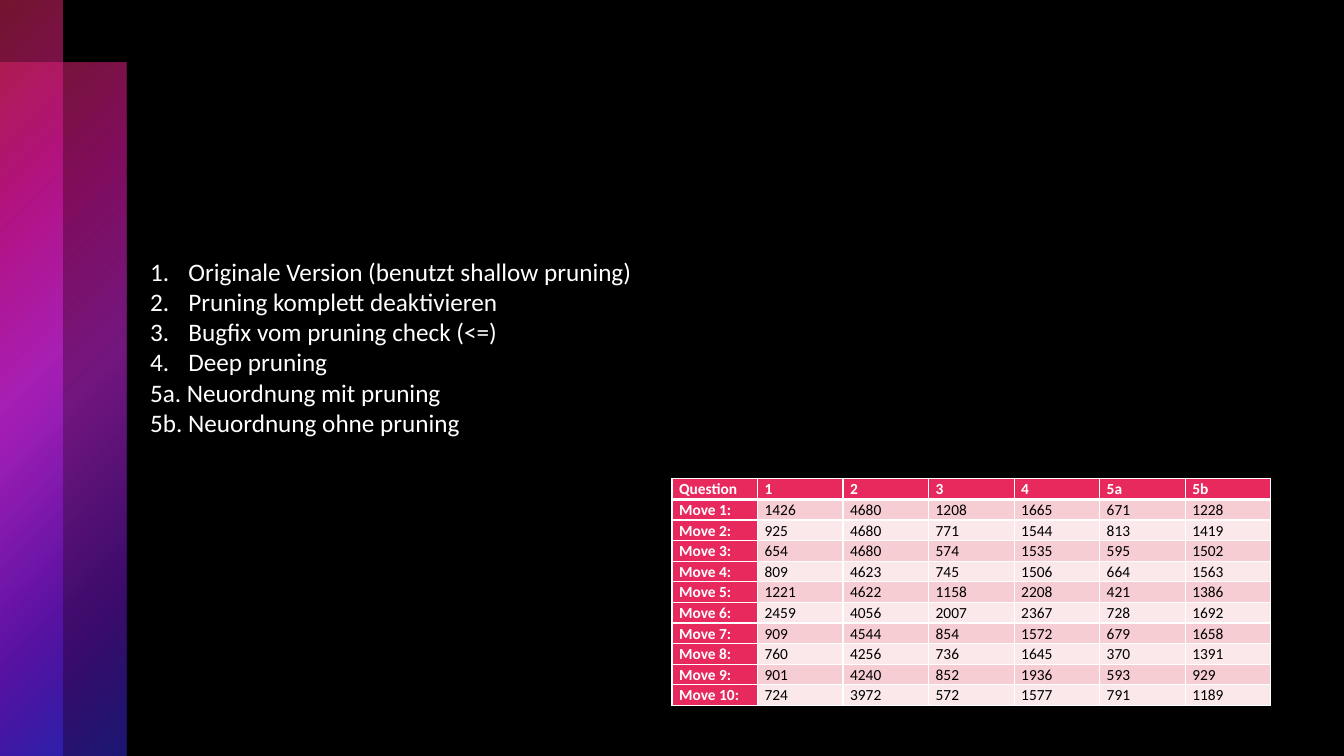
from lxml.etree import SubElement
from pptx import Presentation
from pptx.dml.color import RGBColor
from pptx.enum.shapes import MSO_SHAPE as Shape
from pptx.oxml import parse_xml
from pptx.oxml.ns import nsdecls, qn
from pptx.util import Inches, Pt

FONT = "Calibri"
PINK, WHITE, BLACK = "E7295E", "FFFFFF", "000000"
BANDS = ("F6CDD2", "FAE8EA")
# Position, colour and opacity in percent
GLOW = [(0, PINK, 50), (25, "D5179B", 60), (50, "D129E7", 55),
        (81, "7117D5", 50), (99, "372DE7", 50)]

NUMBERED = ["Originale Version (benutzt shallow pruning)",
            "Pruning komplett deaktivieren",
            "Bugfix vom pruning check (<=)",
            "Deep pruning"]
LETTERED = ["5a. Neuordnung mit pruning", "5b. Neuordnung ohne pruning"]

HEADER = ["Question", "1", "2", "3", "4", "5a", "5b"]
MOVES = [
    (1426, 4680, 1208, 1665, 671, 1228),
    (925, 4680, 771, 1544, 813, 1419),
    (654, 4680, 574, 1535, 595, 1502),
    (809, 4623, 745, 1506, 664, 1563),
    (1221, 4622, 1158, 2208, 421, 1386),
    (2459, 4056, 2007, 2367, 728, 1692),
    (909, 4544, 854, 1572, 679, 1658),
    (760, 4256, 736, 1645, 370, 1391),
    (901, 4240, 852, 1936, 593, 929),
    (724, 3972, 572, 1577, 791, 1189),
]


def colour(hex_text):
    return RGBColor.from_string(hex_text)


def add_run(para, text, size, hex_text, bold=False):
    run = para.add_run()
    run.text = text
    run.font.name = FONT
    run.font.size = Pt(size)
    run.font.bold = bold
    run.font.color.rgb = colour(hex_text)


# Translucent stripe glowing from its top left corner
def add_stripe(page, box):
    stripe = page.shapes.add_shape(Shape.RECTANGLE, *map(Inches, box))
    stripe.shadow.inherit = False
    stripe.line.fill.background()
    stripe.fill.background()
    stops = "".join(
        f'<a:gs pos="{place * 1000}"><a:srgbClr val="{tint}">'
        f'<a:alpha val="{opacity * 1000}"/></a:srgbClr></a:gs>'
        for place, tint, opacity in GLOW)
    gradient = parse_xml(
        f'<a:gradFill {nsdecls("a")} rotWithShape="1"><a:gsLst>{stops}</a:gsLst>'
        '<a:path path="circle"><a:fillToRect r="100000" b="100000"/></a:path>'
        '</a:gradFill>')
    properties = stripe._element.spPr
    properties.replace(properties.find(qn("a:noFill")), gradient)


def set_borders(cell, bottom_width):
    properties = cell._tc.get_or_add_tcPr()
    widths = {"a:lnL": 1, "a:lnR": 1, "a:lnT": 1, "a:lnB": bottom_width}
    for index, (side, width) in enumerate(widths.items()):
        line = parse_xml(
            f'<{side} {nsdecls("a")} w="{Pt(width)}"><a:solidFill>'
            f'<a:srgbClr val="{WHITE}"/></a:solidFill></{side}>')
        properties.insert(index, line)


def fill_cell(cell, text, row, column):
    heading = row == 0 or column == 0
    cell.fill.solid()
    cell.fill.fore_color.rgb = colour(PINK if heading else BANDS[(row - 1) % 2])
    cell.margin_left = cell.margin_right = Inches(0.07)
    cell.margin_top = cell.margin_bottom = 0
    para = cell.text_frame.paragraphs[0]
    para.line_spacing = 1.07
    para.space_after = Pt(8)
    add_run(para, text, 11, WHITE if heading else BLACK, heading)
    set_borders(cell, 3 if row == 0 else 1)


# Results of every move, one column per question
def add_results(page, box):
    rows = [HEADER] + [[f"Move {number}:", *map(str, counts)]
                       for number, counts in enumerate(MOVES, 1)]
    table = page.shapes.add_table(len(rows), len(HEADER), *map(Inches, box)).table
    for row, texts in enumerate(rows):
        for column, text in enumerate(texts):
            fill_cell(table.cell(row, column), text, row, column)


# List of the program versions, numbered up to four
def add_versions(page, box):
    frame = page.shapes.add_textbox(*map(Inches, box)).text_frame
    frame.word_wrap = True
    for index, text in enumerate(NUMBERED + LETTERED):
        para = frame.add_paragraph() if index else frame.paragraphs[0]
        add_run(para, text, 18, WHITE)
        if text in NUMBERED:
            properties = para._p.get_or_add_pPr()
            properties.set("marL", str(Inches(0.38)))
            properties.set("indent", str(-Inches(0.38)))
            SubElement(properties, qn("a:buFont"), typeface="+mj-lt")
            SubElement(properties, qn("a:buAutoNum"), type="arabicPeriod")


def main():
    deck = Presentation()
    width, height = 13.33, 7.5
    deck.slide_width, deck.slide_height = Inches(width), Inches(height)
    page = deck.slides.add_slide(deck.slide_layouts[6])
    page.background.fill.solid()
    page.background.fill.fore_color.rgb = colour(BLACK)

    step = height / 12
    add_stripe(page, (0, step, 2 * step, height - step))
    add_stripe(page, (0, 0, step, height))
    add_results(page, (width / 2, 4.75, 5.94, 2.25))
    add_versions(page, (1.39, 2.49, 6.73, 2.52))
    deck.save("out.pptx")


if __name__ == "__main__":
    main()
